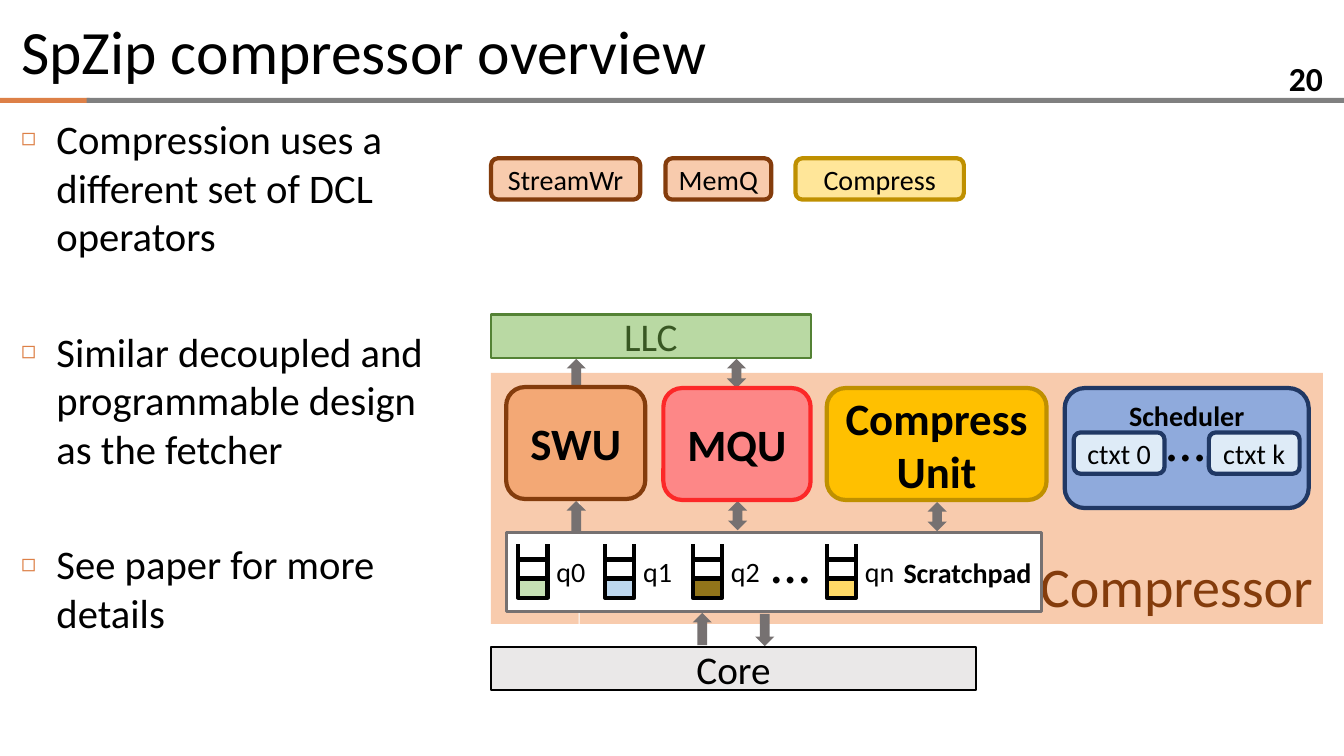
from dataclasses import dataclass

from lxml import etree
from pptx import Presentation
from pptx.dml.color import RGBColor
from pptx.enum.shapes import MSO_CONNECTOR, MSO_SHAPE
from pptx.enum.text import MSO_ANCHOR, MSO_AUTO_SIZE, PP_ALIGN
from pptx.oxml.ns import qn
from pptx.util import Emu, Pt

RECT, ROUND = MSO_SHAPE.RECTANGLE, MSO_SHAPE.ROUNDED_RECTANGLE
UP, DOWN, BOTH = MSO_SHAPE.UP_ARROW, MSO_SHAPE.DOWN_ARROW, MSO_SHAPE.UP_DOWN_ARROW
STRAIGHT = MSO_CONNECTOR.STRAIGHT
LEFT, CENTER, RIGHT = PP_ALIGN.LEFT, PP_ALIGN.CENTER, PP_ALIGN.RIGHT
TOP, MIDDLE, BOTTOM = MSO_ANCHOR.TOP, MSO_ANCHOR.MIDDLE, MSO_ANCHOR.BOTTOM
FIXED, GROW = MSO_AUTO_SIZE.NONE, MSO_AUTO_SIZE.SHAPE_TO_FIT_TEXT

PX = 9144  # 100 px to the inch


@dataclass(frozen=True)
class Theme:
    font: str = "Calibri"
    title: int = 44
    big: int = 40
    unit: int = 32
    body: int = 29
    memory: int = 28
    number: int = 24
    small: int = 20
    thick: float = 3
    frame: float = 2.25
    thin: float = 1.5
    ink: str = "000000"
    paper: str = "FFFFFF"
    accent: str = "DD8047"
    rule: str = "808080"
    peach: str = "F8CBAD"
    brown: str = "843C0C"
    gray: str = "767171"
    gold: str = "BF9000"
    navy: str = "203864"
    context: str = "DEEBF7"


THEME = Theme()


@dataclass(frozen=True)
class Box:
    left: int
    top: int
    width: int
    height: int


@dataclass(frozen=True)
class Label:
    text: str
    size: int
    bold: bool = False
    color: str = THEME.ink
    align: PP_ALIGN = CENTER
    anchor: MSO_ANCHOR = MIDDLE


@dataclass(frozen=True)
class Block:
    box: Box
    fill: str | None
    line: str | None = None
    weight: float = THEME.thick
    label: Label | None = None
    kind: MSO_SHAPE = RECT


@dataclass(frozen=True)
class Queue:
    left: int
    name: str
    fill: str


def emu(box: Box) -> list[Emu]:
    return [Emu(n * PX) for n in (box.left, box.top, box.width, box.height)]


def apply(target, values: dict) -> None:
    for name, value in values.items():
        setattr(target, name, value)


def write(frame, label: Label, wrap: bool = True, fit=FIXED) -> None:
    frame.text = label.text
    apply(frame, {"word_wrap": wrap, "auto_size": fit, "vertical_anchor": label.anchor})
    for paragraph in frame.paragraphs:
        paragraph.alignment = label.align
        for run in paragraph.runs:
            apply(run.font, {"name": THEME.font, "size": Pt(label.size), "bold": label.bold})
            run.font.color.rgb = RGBColor.from_string(label.color)


def draw_block(slide, block: Block) -> None:
    shape = slide.shapes.add_shape(block.kind, *emu(block.box))
    shape.shadow.inherit = False
    if block.fill:
        shape.fill.solid()
        shape.fill.fore_color.rgb = RGBColor.from_string(block.fill)
    else:
        shape.fill.background()
    if block.line:
        shape.line.color.rgb = RGBColor.from_string(block.line)
        shape.line.width = Pt(block.weight)
    else:
        shape.line.fill.background()
    if block.label:
        write(shape.text_frame, block.label)


def draw_text(slide, box: Box, label: Label, wrap: bool = False, fit=GROW) -> None:
    write(slide.shapes.add_textbox(*emu(box)).text_frame, label, wrap, fit)


def draw_queue(slide, queue: Queue) -> None:
    width, cell, top = 29, 19, 555
    for row, fill in enumerate((None, queue.fill)):
        draw_block(slide, Block(Box(queue.left, top + row * cell, width, cell), fill, THEME.ink))
    for x in (queue.left, queue.left + width):
        rail = slide.shapes.add_connector(STRAIGHT, x * PX, top * PX, x * PX, 540 * PX)
        rail.line.color.rgb = RGBColor.from_string(THEME.ink)
        rail.line.width = Pt(THEME.thick)
        etree.SubElement(rail.element.spPr, qn("a:effectLst"))
    draw_text(slide, Box(queue.left + 28, 545, 49, 44),
              Label(queue.name, THEME.small, align=LEFT, anchor=TOP))


def place(placeholder, box: Box) -> None:
    apply(placeholder, dict(zip(("left", "top", "width", "height"), emu(box))))


def bullet(paragraph, before: float) -> None:
    paragraph.space_before = Pt(before)
    props = paragraph._p.get_or_add_pPr()
    props.set("marL", str(35 * PX))
    props.set("indent", str(-35 * PX))
    color = etree.SubElement(props, qn("a:buClr"))
    etree.SubElement(color, qn("a:srgbClr"), val=THEME.accent)
    etree.SubElement(props, qn("a:buSzPct"), val="60000")
    etree.SubElement(props, qn("a:buChar"), char="◻")


def operator(left: int, width: int, name: str, fill: str, line: str) -> Block:
    return Block(Box(left, 157, width, 41), fill, line, label=Label(name, THEME.small), kind=ROUND)


def unit(box: Box, name: str, fill: str, line: str) -> Block:
    return Block(box, fill, line, label=Label(name, THEME.unit, True), kind=ROUND)


def arrow(kind: MSO_SHAPE, left: int, top: int, height: int) -> Block:
    return Block(Box(left, top, 19, height), THEME.gray, kind=kind)


def context(left: int, name: str) -> Block:
    return Block(Box(left, 429, 90, 41), THEME.context, THEME.navy,
                 label=Label(name, THEME.small), kind=ROUND)


POINTS = ("Compression uses a different set of DCL operators",
          "Similar decoupled and programmable design as the fetcher",
          "See paper for more details")

BLOCKS = (
    # Header rule
    Block(Box(0, 97, 89, 5), THEME.accent),
    Block(Box(86, 97, 1247, 5), THEME.rule),
    # Compressor background
    Block(Box(487, 370, 87, 249), THEME.peach),
    Block(Box(575, 370, 737, 249), THEME.peach,
          label=Label("Compressor", THEME.big, False, THEME.brown, RIGHT, BOTTOM)),
    # Data flow arrows
    arrow(BOTH, 721, 356, 29), arrow(BOTH, 722, 497, 29), arrow(BOTH, 920, 498, 29),
    arrow(UP, 562, 356, 27), arrow(UP, 562, 497, 31),
    arrow(UP, 687, 608, 32), arrow(DOWN, 749, 609, 32),
    # Memory and core
    Block(Box(487, 312, 317, 43), "B9D9A3", "548235", THEME.thin,
          Label("LLC", THEME.memory, color="385723")),
    Block(Box(487, 642, 481, 43), "EAE8E8", THEME.ink, THEME.thin, Label("Core", THEME.memory)),
    # Scheduler
    Block(Box(1056, 385, 242, 119), "8FAADC", THEME.navy,
          label=Label("Scheduler", THEME.small, True, anchor=TOP), kind=ROUND),
    context(1065, "ctxt 0"), context(1199, "ctxt k"),
    # Units and scratchpad
    unit(Box(502, 384, 138, 111), "SWU", "F3A875", THEME.brown),
    unit(Box(658, 385, 146, 111), "MQU", "FD8787", "FC2828"),
    unit(Box(820, 385, 218, 111), "Compress\nUnit", "FFC000", THEME.gold),
    Block(Box(502, 528, 531, 79), THEME.paper, THEME.gray, THEME.frame,
          Label("Scratchpad", THEME.small, True, align=RIGHT)),
    # DCL operators
    operator(487, 148, "StreamWr", THEME.peach, THEME.brown),
    operator(660, 105, "MemQ", THEME.peach, THEME.brown),
    operator(789, 167, "Compress", "FFE699", THEME.gold),
)

QUEUES = (Queue(514, "q0", "C5E0B4"), Queue(600, "q1", "BDD7EE"),
          Queue(687, "q2", "92751A"), Queue(820, "qn", "FFD966"))
ELLIPSES = (Box(1147, 397, 59, 77), Box(755, 518, 59, 77))


def main() -> None:
    deck = Presentation()
    deck.slide_width, deck.slide_height = Emu(1333 * PX), Emu(750 * PX)
    slide = deck.slides.add_slide(deck.slide_layouts[1])

    # Title, list and page number
    heading, points = slide.placeholders
    place(heading, Box(11, 8, 1311, 83))
    write(heading.text_frame, Label("SpZip compressor overview", THEME.title, align=LEFT))
    place(points, Box(11, 108, 452, 633))
    write(points.text_frame, Label("\n".join(POINTS), THEME.body, align=LEFT, anchor=TOP))
    for index, paragraph in enumerate(points.text_frame.paragraphs):
        bullet(paragraph, 47.5 if index else 7)
    draw_text(slide, Box(1222, 63, 100, 28),
              Label("20", THEME.number, True, align=RIGHT), True, FIXED)

    # Diagram
    for block in BLOCKS:
        draw_block(slide, block)
    for queue in QUEUES:
        draw_queue(slide, queue)
    for box in ELLIPSES:
        draw_text(slide, box, Label("…", THEME.big, align=LEFT, anchor=TOP))

    deck.save("out.pptx")


if __name__ == "__main__":
    main()
